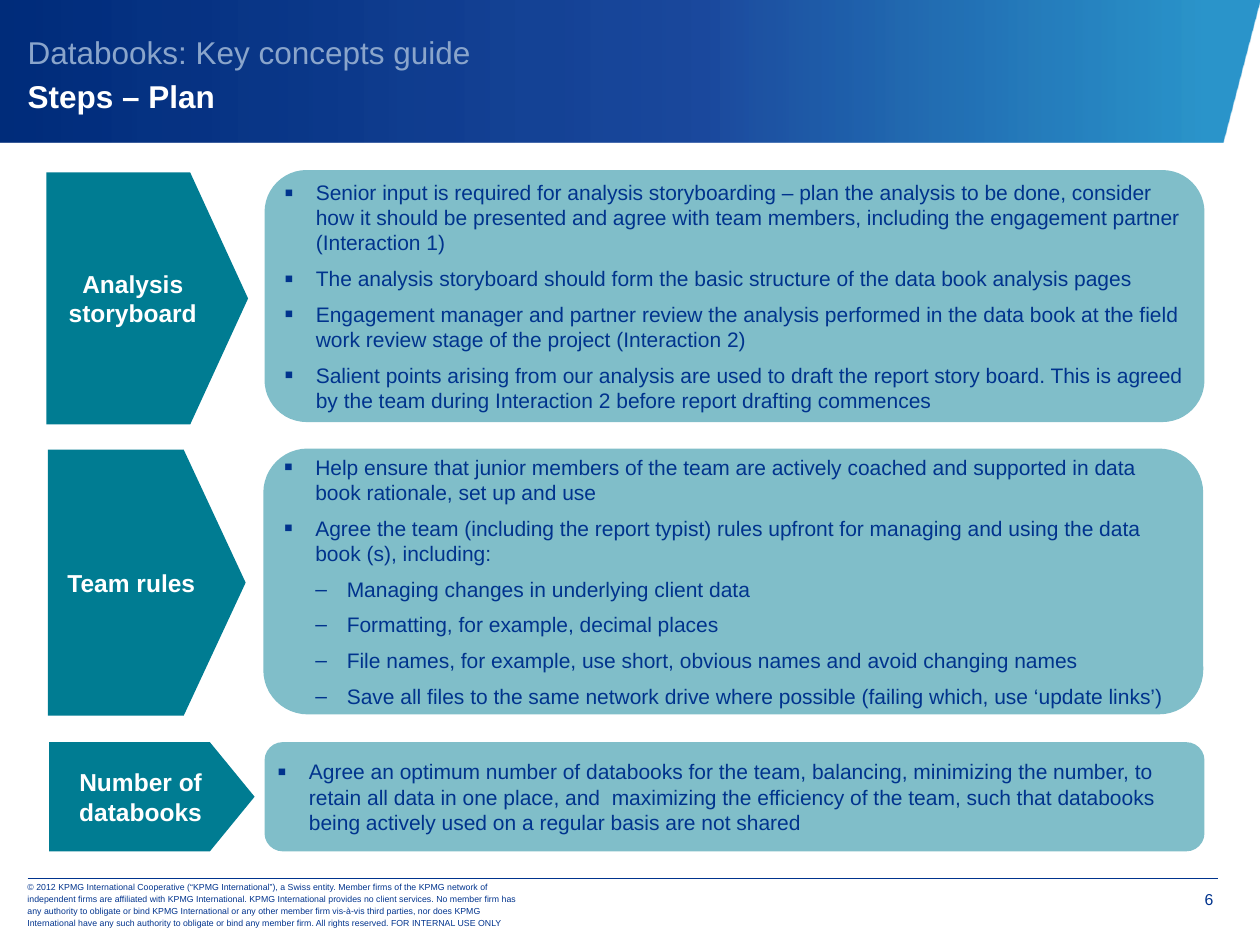
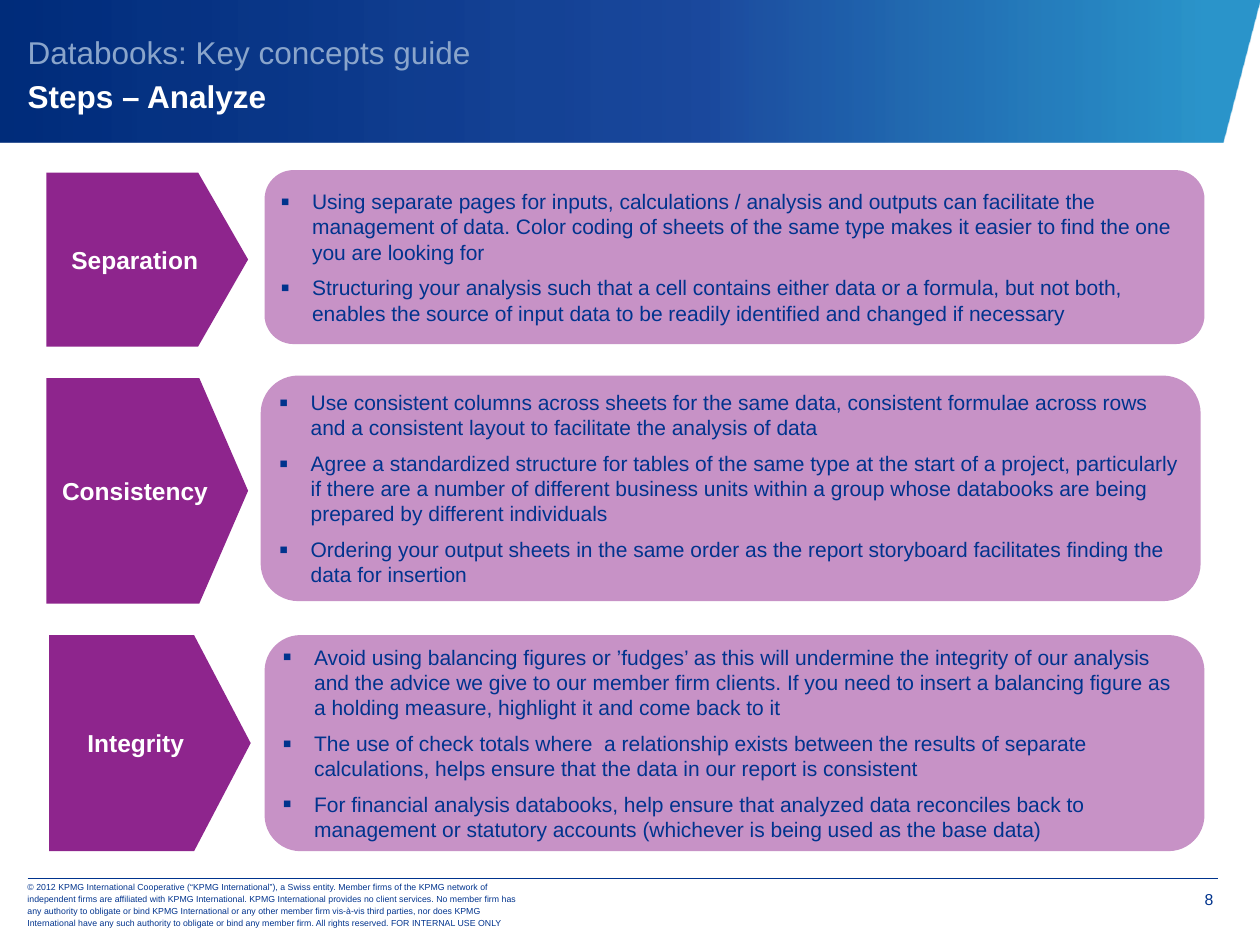
"""Build the Plan and Analyze slides of the databook concepts guide."""
from lxml.etree import SubElement
from pptx import Presentation
from pptx.dml.color import RGBColor
from pptx.enum.shapes import MSO_CONNECTOR, MSO_SHAPE
from pptx.enum.text import MSO_ANCHOR, MSO_AUTO_SIZE, PP_ALIGN
from pptx.oxml.ns import qn
from pptx.util import Pt

GUIDE = "Databooks: Key concepts guide"
COPYRIGHT = (
    "© 2012 KPMG International Cooperative (“KPMG International”), a Swiss entity. "
    "Member firms of the KPMG network of independent firms are affiliated with KPMG International. "
    "KPMG International provides no client services. No member firm has any authority to obligate "
    "or bind KPMG International or any other member firm vis-à-vis third parties, nor does KPMG "
    "International have any such authority to obligate or bind any member firm. "
    "All rights reserved. FOR INTERNAL USE ONLY"
)
STEPS = [
    {
        "step": "Steps – Plan", "number": "6", "theme": "teal",
        "topics": [
            {
                "topic": "Analysis storyboard", "arrow": (26.6, 98.6, 115.2), "tip": 0.287,
                "panel": (151.2, 97.2), "height": 144,
                "points": [
                    (0, "Senior input is required for analysis storyboarding – plan the analysis to be "
                        "done, consider how it should be presented and agree with team members, "
                        "including the engagement partner (Interaction 1)"),
                    (0, "The analysis storyboard should form the basic structure of the data book "
                        "analysis pages"),
                    (0, "Engagement manager and partner review the analysis performed in the data book "
                        "at the field work review stage of the project (Interaction 2)"),
                    (0, "Salient points arising from our analysis are used to draft the report story "
                        "board. This is agreed by the team during Interaction 2 before report drafting "
                        "commences"),
                ],
            },
            {
                "topic": "Team rules", "arrow": (27.4, 257, 113), "tip": 0.313,
                "panel": (150.5, 256.3), "height": 151.9,
                "points": [
                    (0, "Help ensure that junior members of the team are actively coached and supported "
                        "in data book rationale, set up and use"),
                    (0, "Agree the team (including the report typist) rules upfront for managing and "
                        "using the data book (s), including:"),
                    (1, "Managing changes in underlying client data"),
                    (1, "Formatting, for example, decimal places"),
                    (1, "File names, for example, use short, obvious names and avoid changing names"),
                    (1, "Save all files to the same network drive where possible (failing which, use "
                        "‘update links’)"),
                ],
            },
            {
                "topic": "Number of databooks", "arrow": (28.1, 424.1, 117.4), "tip": 0.409,
                "panel": (151.2, 424.1), "height": 62.4,
                "points": [
                    (0, "Agree an optimum number of databooks for the team, balancing, minimizing the "
                        "number, to retain all data in one place, and  maximizing the efficiency of the "
                        "team, such that databooks being actively used on a regular basis are not shared"),
                ],
            },
        ],
    },
    {
        "step": "Steps – Analyze", "number": "8", "theme": "purple",
        "topics": [
            {
                "topic": "Separation", "arrow": (26.6, 98.6, 115.2), "tip": 0.287,
                "panel": (151.2, 97.2), "height": 99.4,
                "points": [
                    (0, "Using separate pages for inputs, calculations / analysis and outputs can "
                        "facilitate the management of data. Color coding of sheets of the same type "
                        "makes it easier to find the one you are looking for"),
                    (0, "Structuring your analysis such that a cell contains either data or a formula, "
                        "but not both, enables the source of input data to be readily identified and "
                        "changed if necessary"),
                ],
            },
            {
                "topic": "Consistency", "arrow": (26.6, 216, 115.2), "tip": 0.242,
                "panel": (149, 214.6), "height": 128.9,
                "points": [
                    (0, "Use consistent columns across sheets for the same data, consistent formulae "
                        "across rows and a consistent layout to facilitate the analysis of data"),
                    (0, "Agree a standardized structure for tables of the same type at the start of a "
                        "project, particularly if there are a number of different business units within "
                        "a group whose databooks are being prepared by different individuals"),
                    (0, "Ordering your output sheets in the same order as the report storyboard "
                        "facilitates finding the data for insertion"),
                ],
            },
            {
                "topic": "Integrity", "arrow": (28.1, 362.9, 115.2), "tip": 0.281,
                "panel": (151.2, 362.9), "height": 123.5,
                "points": [
                    (0, "Avoid using balancing figures or ’fudges’ as this will undermine the integrity "
                        "of our analysis and the advice we give to our member firm clients. If you need "
                        "to insert a balancing figure as a holding measure, highlight it and come back "
                        "to it"),
                    (0, "The use of check totals where  a relationship exists between the results of "
                        "separate calculations, helps ensure that the data in our report is consistent"),
                    (0, "For financial analysis databooks, help ensure that analyzed data reconciles "
                        "back to management or statutory accounts (whichever is being used as the base "
                        "data)"),
                ],
            },
        ],
    },
]

COLORS = {
    "navy": "00338D", "white": "FFFFFF", "guide": "8AA5CB",
    "teal": "007C92", "teal panel": "80BEC9",
    "purple": "8E258D", "purple panel": "C792C6",
    "band right": "0080C0", "band middle": "003492", "band left": "002C7A",
}
BAND_STOPS = [(4, "band right", 83), (44, "band middle", 89), (100, "band left", 100)]
BAND_OUTLINE = [(-0.7, 81.4), (698.4, 81.4), (720, -0.7), (-0.7, 0)]
FOOTER_RULES = [(23.8, 695.5), (15.8, 696.2)]
FOOTER_RULE_TOP = 501.8
PANEL_WIDTH = 537.1
INDENT = 18
BULLETS = [("▪", 125), ("–", 100)]


def frame_format(left, top, right, bottom, anchor=MSO_ANCHOR.MIDDLE):
    return {
        "margin_left": Pt(left), "margin_top": Pt(top),
        "margin_right": Pt(right), "margin_bottom": Pt(bottom),
        "vertical_anchor": anchor, "word_wrap": True, "auto_size": MSO_AUTO_SIZE.NONE,
    }


FRAMES = {
    "title": frame_format(0, 0, 0, 0),
    "topic": frame_format(4.3, 4.3, 4.3, 4.3),
    "copyright": frame_format(7.2, 3.6, 7.2, 3.6),
    "number": frame_format(5.8, 5.8, 0, 0, MSO_ANCHOR.TOP),
}
PARAGRAPHS = {
    "title": {"alignment": PP_ALIGN.LEFT, "line_spacing": Pt(25), "space_before": Pt(0)},
    "topic": {"alignment": PP_ALIGN.CENTER},
    "point": {"alignment": PP_ALIGN.LEFT, "space_after": Pt(3)},
    "copyright": {"alignment": PP_ALIGN.LEFT, "line_spacing": Pt(7)},
    "number": {"alignment": PP_ALIGN.RIGHT},
}
FONTS = {
    "guide": ({"size": Pt(18), "bold": False}, "guide"),
    "step": ({"size": Pt(18), "bold": True}, "white"),
    "topic": ({"size": Pt(14), "bold": True}, "white"),
    "point": ({"size": Pt(12)}, "navy"),
    "copyright": ({"size": Pt(5)}, "navy"),
    "number": ({"size": Pt(9)}, "navy"),
}


def rgb(color):
    return RGBColor.from_string(COLORS[color])


def apply_format(target, values):
    for attribute, value in values.items():
        setattr(target, attribute, value)


def add_words(paragraph, words, style):
    run = paragraph.add_run()
    run.text = words
    values, color = FONTS[style]
    apply_format(run.font, {"name": "Arial", **values})
    run.font.color.rgb = rgb(color)


def write(shape, words, style):
    apply_format(shape.text_frame, FRAMES[style])
    paragraph = shape.text_frame.paragraphs[0]
    apply_format(paragraph, PARAGRAPHS[style])
    add_words(paragraph, words, style)


def add_bullet(paragraph, level):
    symbol, percent = BULLETS[level]
    properties = paragraph._p.get_or_add_pPr()
    properties.set("marL", str(Pt(INDENT * (level + 1))))
    properties.set("indent", str(Pt(-INDENT)))
    color = SubElement(properties, qn("a:buClr"))
    SubElement(color, qn("a:srgbClr"), val=COLORS["navy"])
    SubElement(properties, qn("a:buSzPct"), val=str(percent * 1000))
    SubElement(properties, qn("a:buFont"), typeface="Arial")
    SubElement(properties, qn("a:buChar"), char=symbol)


def write_points(panel, points):
    frame = panel.text_frame
    apply_format(frame, FRAMES["topic"])
    for index, (level, words) in enumerate(points):
        paragraph = frame.add_paragraph() if index else frame.paragraphs[0]
        paragraph.level = level
        add_bullet(paragraph, level)
        apply_format(paragraph, {**PARAGRAPHS["point"], "space_before": Pt(3 if index else 0)})
        add_words(paragraph, words, "point")


def add_block(slide, preset, box, color):
    block = slide.shapes.add_shape(preset, *map(Pt, box))
    block.shadow.inherit = False
    block.fill.solid()
    block.fill.fore_color.rgb = rgb(color)
    block.line.fill.background()
    return block


def add_band(slide):
    corners = [(Pt(x), Pt(y)) for x, y in BAND_OUTLINE]
    builder = slide.shapes.build_freeform(*corners[0])
    builder.add_line_segments(corners[1:], close=True)
    band = builder.convert_to_shape()
    band.shadow.inherit = False
    band.line.fill.background()
    band.fill.gradient()
    band.fill.gradient_angle = 180
    stops = band._element.spPr.find(qn("a:gradFill")).find(qn("a:gsLst"))
    for stop in list(stops):
        stops.remove(stop)
    for position, color, opacity in BAND_STOPS:
        stop = SubElement(stops, qn("a:gs"), pos=str(position * 1000))
        shade = SubElement(stop, qn("a:srgbClr"), val=COLORS[color])
        SubElement(shade, qn("a:alpha"), val=str(opacity * 1000))


def add_title(slide, step):
    title = slide.shapes.title
    slide.shapes._spTree.append(title._element)
    apply_format(title, {"left": Pt(15.8), "top": Pt(9.4), "width": Pt(673.2), "height": Pt(62.6)})
    write(title, GUIDE, "title") if "title" in FONTS else apply_format(title.text_frame, FRAMES["title"])
    paragraph = title.text_frame.paragraphs[0]
    apply_format(paragraph, PARAGRAPHS["title"])
    add_words(paragraph, GUIDE, "guide")
    paragraph.add_line_break()
    add_words(paragraph, step, "step")


def add_footer(slide, number):
    write(slide.shapes.add_textbox(Pt(653.8), Pt(502.6), Pt(39.6), Pt(22.3)), number, "number")
    write(slide.shapes.add_textbox(Pt(8.6), Pt(504), Pt(298.8), Pt(25.2)), COPYRIGHT, "copyright")
    for start, end in FOOTER_RULES:
        rule = slide.shapes.add_connector(
            MSO_CONNECTOR.STRAIGHT, Pt(start), Pt(FOOTER_RULE_TOP), Pt(end), Pt(FOOTER_RULE_TOP))
        rule.line.color.rgb = rgb("navy")
        rule.line.width = Pt(0.25)
        SubElement(rule._element.spPr, qn("a:effectLst"))


def add_topic(slide, topic, theme):
    height = topic["height"]
    arrow = add_block(slide, MSO_SHAPE.PENTAGON, (*topic["arrow"], height), theme)
    arrow.adjustments[0] = topic["tip"]
    write(arrow, topic["topic"], "topic")
    panel_box = (*topic["panel"], PANEL_WIDTH, height)
    panel = add_block(slide, MSO_SHAPE.ROUNDED_RECTANGLE, panel_box, f"{theme} panel")
    write_points(panel, topic["points"])


def main():
    deck = Presentation()
    apply_format(deck, {"slide_width": Pt(720), "slide_height": Pt(540)})
    for step in STEPS:
        slide = deck.slides.add_slide(deck.slide_layouts[5])
        add_band(slide)
        add_footer(slide, step["number"])
        add_title(slide, step["step"])
        for topic in step["topics"]:
            add_topic(slide, topic, step["theme"])
    deck.save("out.pptx")


if __name__ == "__main__":
    main()
